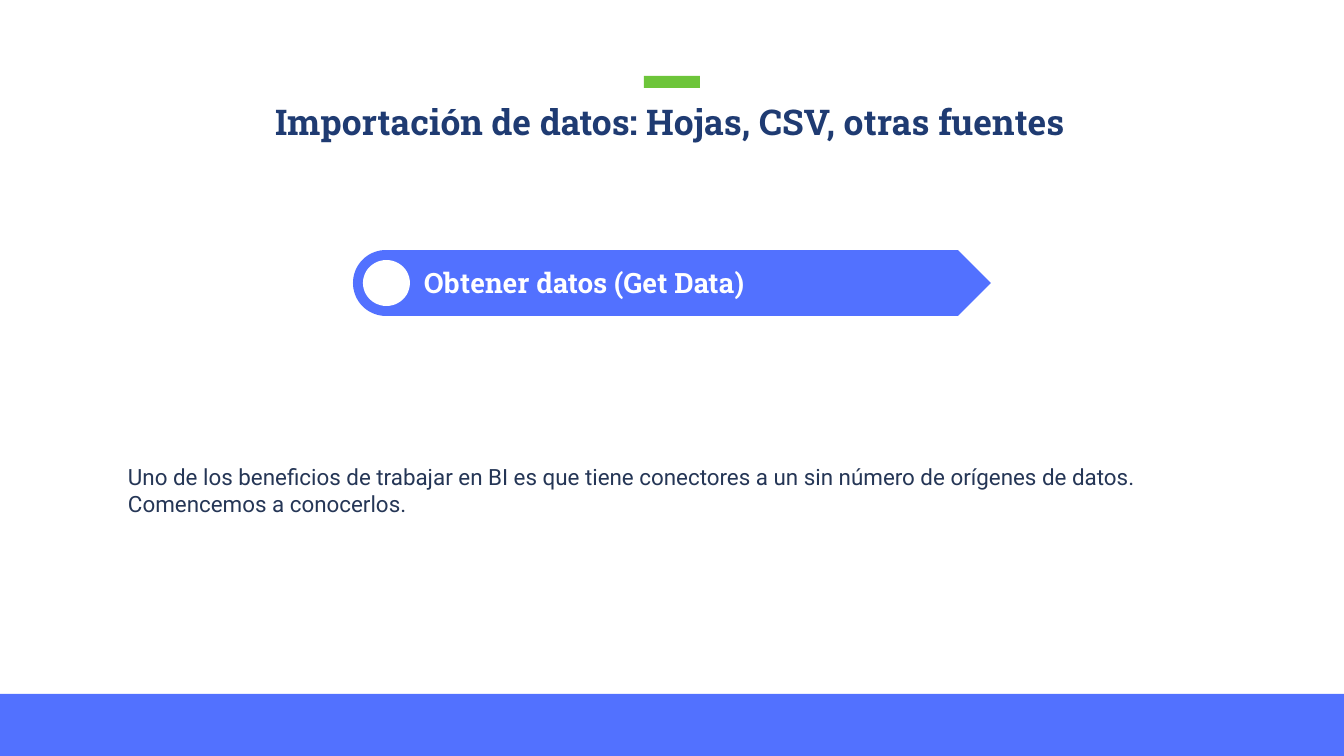
"""Build the slide about importing data from several sources."""

import dataclasses
import math
import typing

import pptx
import pptx.dml.color
import pptx.enum.shapes
import pptx.enum.text
import pptx.util

EMU_PER_PX = 914400 / 134.4
COLORS = {
    "blue": "5271FF",
    "green": "6DC53A",
    "navy": "1F3B72",
    "slate": "253656",
    "white": "FFFFFF",
}
SHAPES = pptx.enum.shapes.MSO_SHAPE
ALIGN = pptx.enum.text.PP_ALIGN


@dataclasses.dataclass(frozen=True)
class Box:
    left: int
    top: int
    width: int
    height: int


@dataclasses.dataclass(frozen=True)
class Block:
    kind: typing.Any
    box: Box
    color: str


@dataclasses.dataclass(frozen=True)
class Label:
    box: Box
    text: str
    font: str
    size: int
    color: str
    align: typing.Any
    bold: bool = False
    line_points: typing.Optional[float] = None


BLOCKS = [
    Block(SHAPES.RECTANGLE, Box(0, 694, 1344, 62), "blue"),
    Block(SHAPES.RECTANGLE, Box(644, 76, 56, 12), "green"),
]
BANNER = Box(353, 250, 638, 66)
BULLET = Block(SHAPES.OVAL, Box(363, 260, 47, 46), "white")
LABELS = [
    Label(Box(105, 107, 1130, 36), "Importación de datos: Hojas, CSV, otras fuentes",
          "Roboto Slab", 19, "navy", ALIGN.CENTER, True, 19.3),
    Label(Box(128, 463, 1087, 79),
          "Uno de los beneficios de trabajar en BI es que tiene conectores "
          "a un sin número de orígenes de datos.\nComencemos a conocerlos.",
          "Roboto", 12, "slate", ALIGN.JUSTIFY),
    Label(Box(424, 271, 521, 28), "Obtener datos (Get Data)",
          "Roboto Slab", 15, "white", ALIGN.LEFT, True, 15),
]


def px(length: float) -> int:
    return round(length * EMU_PER_PX)


def place(box: Box) -> tuple:
    return tuple(px(length) for length in dataclasses.astuple(box))


def rgb(color: str) -> pptx.dml.color.RGBColor:
    return pptx.dml.color.RGBColor.from_string(COLORS[color])


def paint(shape: typing.Any, color: str) -> None:
    shape.shadow.inherit = False
    shape.fill.solid()
    shape.fill.fore_color.rgb = rgb(color)
    shape.line.fill.background()


def draw_block(slide: typing.Any, block: Block) -> None:
    paint(slide.shapes.add_shape(block.kind, *place(block.box)), block.color)


def draw_banner(slide: typing.Any, box: Box, color: str) -> None:
    radius = box.height / 2
    middle = box.top + radius
    right = box.left + box.width
    angles = [math.radians(degrees) for degrees in range(90, 271, 5)]
    outline = [
        (box.left + radius + radius * math.cos(angle), middle + radius * math.sin(angle))
        for angle in angles
    ]
    outline += [(right - radius, box.top), (right, middle), (right - radius, box.top + box.height)]
    points = [(px(x), px(y)) for x, y in outline]
    builder = slide.shapes.build_freeform(*points[0])
    builder.add_line_segments(points[1:], close=True)
    paint(builder.convert_to_shape(), color)


def draw_label(slide: typing.Any, label: Label) -> None:
    text_frame = slide.shapes.add_textbox(*place(label.box)).text_frame
    text_frame.word_wrap = True
    text_frame.margin_left = text_frame.margin_right = 0
    text_frame.margin_top = text_frame.margin_bottom = 0
    text_frame.text = label.text
    for paragraph in text_frame.paragraphs:
        paragraph.alignment = label.align
        if label.line_points:
            paragraph.line_spacing = pptx.util.Pt(label.line_points)
        for run in paragraph.runs:
            run.font.name = label.font
            run.font.size = pptx.util.Pt(label.size)
            run.font.bold = label.bold
            run.font.color.rgb = rgb(label.color)


def main() -> None:
    presentation = pptx.Presentation()
    presentation.slide_width = px(1344)
    presentation.slide_height = px(756)
    slide = presentation.slides.add_slide(presentation.slide_layouts[6])
    for block in BLOCKS:
        draw_block(slide, block)
    draw_banner(slide, BANNER, "blue")
    draw_block(slide, BULLET)
    for label in LABELS:
        draw_label(slide, label)
    presentation.save("out.pptx")


if __name__ == "__main__":
    main()
